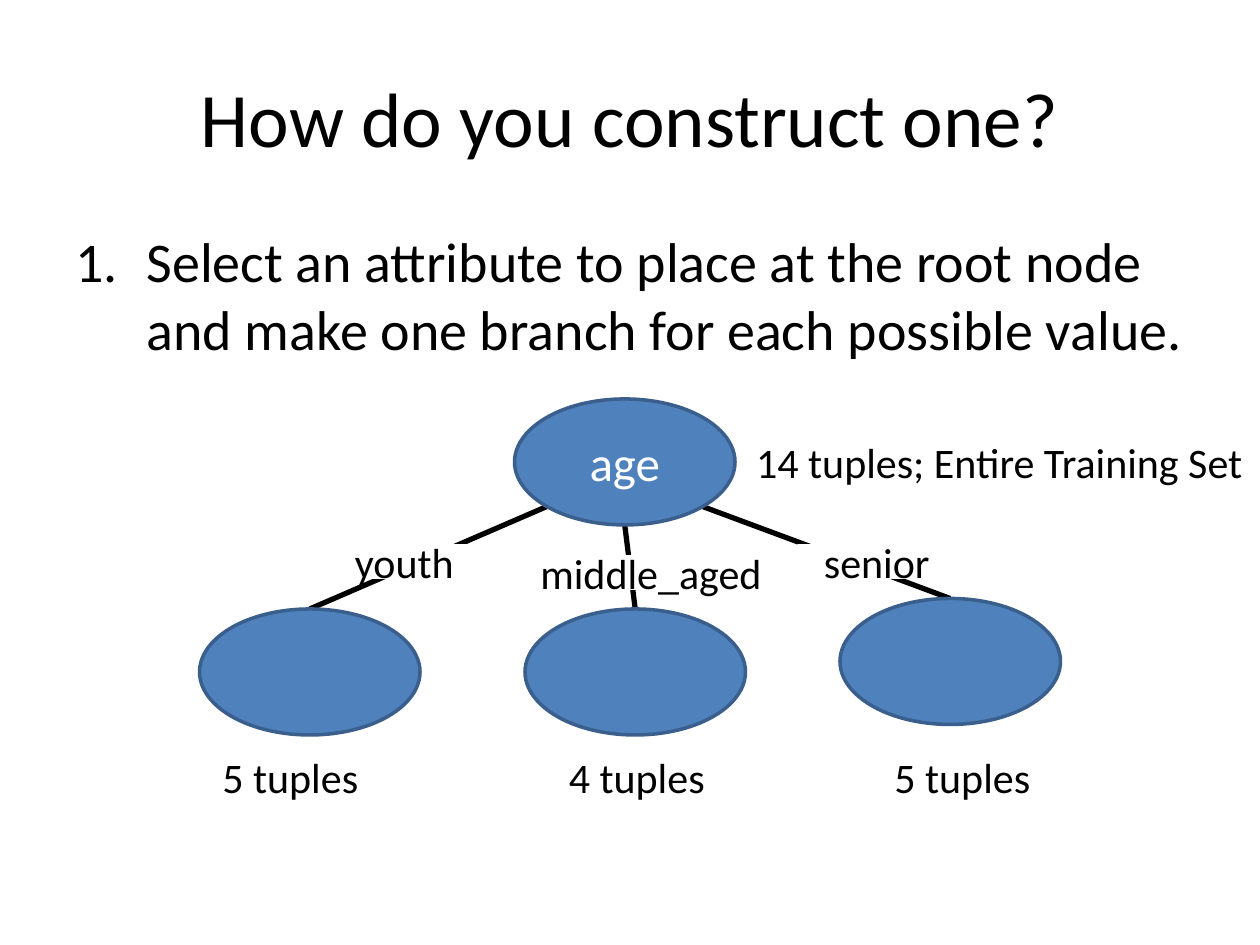
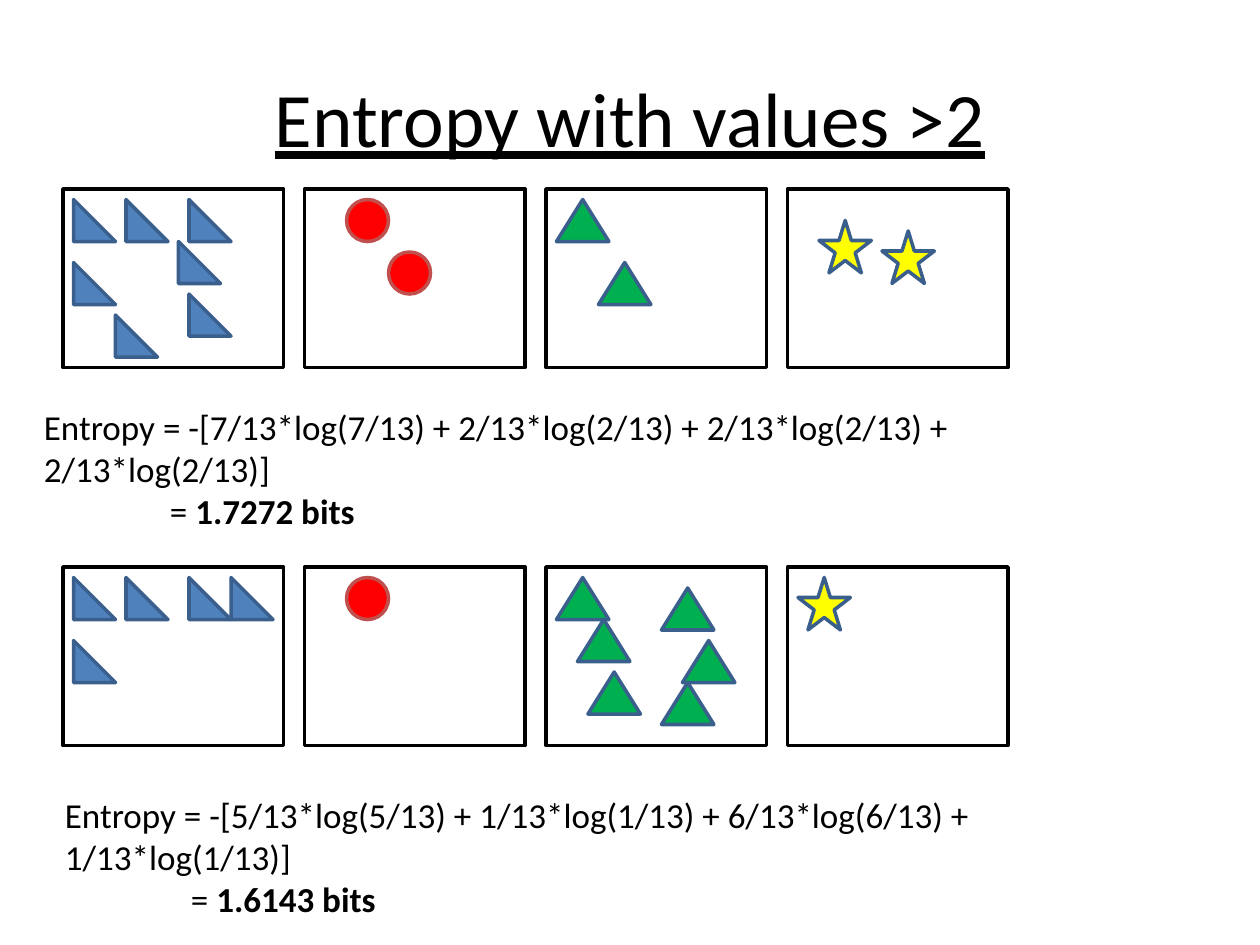
import math
from dataclasses import dataclass
import pptx
import pptx.util
import pptx.dml.color
import pptx.enum.shapes
import pptx.enum.text
import pptx.oxml
import pptx.oxml.ns
from pptx.util import Pt

KINDS = pptx.enum.shapes.MSO_SHAPE
ALIGN = pptx.enum.text.PP_ALIGN
ANCHOR = pptx.enum.text.MSO_ANCHOR


@dataclass(frozen=True)
class Theme:
    font: str = "Calibri"
    ink: str = "000000"
    paper: str = "FFFFFF"
    blue: str = "4F81BD"
    blue_edge: str = "3A5F8C"
    red: str = "FF0000"
    red_edge: str = "C0504D"
    green: str = "00B050"
    yellow: str = "FFFF00"
    title: int = 44
    body: int = 32
    node: int = 28
    label: int = 24
    formula: int = 20
    outline: int = 2
    branch: int = 3


THEME = Theme()
SLIDE_SIZE = (720, 540)
TITLE_BOX = (36, 21.6, 648, 90)

TREE_TITLE = "How do you construct one?"
STEPS = ["Select an attribute to place at the root node and make one branch for each possible value."]
STEPS_BOX = (36, 126, 648, 384)
STEP_INDENT = 40.5
NODE_SIZE = (126, 72)
ROOT = ("age", (294, 228))
ROOT_NOTE = ("14 tuples; Entire Training Set", (425, 246, 295, 36))
COUNT_TOP, COUNT_SIZE = 426, (93, 36)
BRANCHES = [
    dict(value="youth", label=(186, 312, 90, 18), node=(114, 348), angle=135, count="5 tuples", count_left=120),
    dict(value="middle_aged", label=(300, 318, 144, 18), node=(300, 348), angle=90, count="4 tuples", count_left=318),
    dict(value="senior", label=(456, 312, 90, 18), node=(480, 342), angle=45, count="5 tuples", count_left=504),
]

ENTROPY_TITLE = "Entropy with values >2"
BIN_LEFT, BIN_PITCH, BIN_SIZE = 36, 138, (126, 102)
TOKENS = [
    (KINDS.RIGHT_TRIANGLE, (24, 24), THEME.blue, THEME.blue_edge),
    (KINDS.OVAL, (24, 24), THEME.red, THEME.red_edge),
    (KINDS.ISOSCELES_TRIANGLE, (30, 24), THEME.green, THEME.blue_edge),
    (KINDS.STAR_5_POINT, (30, 30), THEME.yellow, THEME.blue_edge),
]
SAMPLES = [
    dict(
        top=108,
        bins=[
            [(6, 6), (36, 6), (6, 42), (66, 30), (72, 60), (30, 72), (72, 6)],
            [(24, 6), (48, 36)],
            [(6, 6), (30, 42)],
            [(54, 24), (18, 18)],
        ],
        formula="Entropy = -[7/13*log(7/13) + 2/13*log(2/13) + 2/13*log(2/13) + 2/13*log(2/13)]",
        bits="1.7272 bits",
        formula_at=(18, 228),
    ),
    dict(
        top=324,
        bins=[
            [(6, 6), (36, 6), (6, 42), (96, 6), (72, 6)],
            [(24, 6)],
            [(6, 6), (66, 12), (18, 30), (24, 60), (78, 42), (66, 66)],
            [(6, 6)],
        ],
        formula="Entropy = -[5/13*log(5/13) + 1/13*log(1/13) + 6/13*log(6/13) + 1/13*log(1/13)]",
        bits="1.6143 bits",
        formula_at=(30, 450),
    ),
]
FORMULA_SIZE = (660, 80)
RESULT_INDENT = 72


def rgb(code):
    return pptx.dml.color.RGBColor.from_string(code)


def points(values):
    return [Pt(value) for value in values]


def style(frame, size, color=THEME.ink, align=ALIGN.LEFT):
    for paragraph in frame.paragraphs:
        paragraph.alignment = align
        for run in paragraph.runs:
            run.font.name = THEME.font
            run.font.size = Pt(size)
            run.font.color.rgb = rgb(color)


def fill_placeholder(holder, box, text, size, align):
    holder.left, holder.top, holder.width, holder.height = points(box)
    holder.text_frame.text = text
    style(holder.text_frame, size, align=align)
    return holder.text_frame


def add_titled_slide(deck, layout, title):
    slide = deck.slides.add_slide(deck.slide_layouts[layout])
    frame = fill_placeholder(slide.shapes.title, TITLE_BOX, title, THEME.title, ALIGN.CENTER)
    frame.vertical_anchor = ANCHOR.MIDDLE
    return slide


def add_figure(slide, kind, box, fill, edge, text="", size=THEME.label, color=THEME.ink):
    figure = slide.shapes.add_shape(kind, *points(box))
    figure.shadow.inherit = False
    if fill:
        figure.fill.solid()
        figure.fill.fore_color.rgb = rgb(fill)
    else:
        figure.fill.background()
    figure.line.color.rgb = rgb(edge)
    figure.line.width = Pt(THEME.outline)
    if text:
        figure.text_frame.text = text
        figure.text_frame.vertical_anchor = ANCHOR.MIDDLE
        style(figure.text_frame, size, color, ALIGN.CENTER)


def add_note(slide, box, text, size=THEME.label, wrap=False):
    frame = slide.shapes.add_textbox(*points(box)).text_frame
    frame.word_wrap = wrap
    frame.text = text
    style(frame, size)
    return frame


def indent(paragraph, margin, first=0):
    properties = paragraph._p.get_or_add_pPr()
    properties.set("marL", str(Pt(margin)))
    properties.set("indent", str(Pt(first)))
    return properties


def add_branch_line(slide, start, end):
    branch = slide.shapes.add_connector(
        pptx.enum.shapes.MSO_CONNECTOR.STRAIGHT, *points(start + end))
    branch.line.color.rgb = rgb(THEME.ink)
    branch.line.width = Pt(THEME.branch)
    branch._element.spPr.append(pptx.oxml.parse_xml(
        "<a:effectLst %s/>" % pptx.oxml.ns.nsdecls("a")))


def build_tree(deck):
    slide = add_titled_slide(deck, 1, TREE_TITLE)
    steps = fill_placeholder(
        slide.placeholders[1], STEPS_BOX, "\n".join(STEPS), THEME.body, ALIGN.LEFT)
    for step in steps.paragraphs:
        properties = indent(step, STEP_INDENT, -STEP_INDENT)
        properties.append(pptx.oxml.parse_xml(
            '<a:buAutoNum %s type="arabicPeriod"/>' % pptx.oxml.ns.nsdecls("a")))
    note, note_box = ROOT_NOTE
    add_note(slide, note_box, note)

    width, height = NODE_SIZE
    attribute, (root_left, root_top) = ROOT
    for branch in BRANCHES:
        angle = math.radians(branch["angle"])
        start = (root_left + width / 2 * (1 + math.cos(angle)),
                 root_top + height / 2 * (1 + math.sin(angle)))
        left, top = branch["node"]
        add_branch_line(slide, start, (left + width / 2, top))
    add_figure(slide, KINDS.OVAL, (root_left, root_top) + NODE_SIZE, THEME.blue,
               THEME.blue_edge, attribute, THEME.node, THEME.paper)
    for branch in BRANCHES:
        add_figure(slide, KINDS.OVAL, branch["node"] + NODE_SIZE, THEME.blue, THEME.blue_edge)
        add_figure(slide, KINDS.RECTANGLE, branch["label"], THEME.paper, THEME.paper,
                   branch["value"])
        add_note(slide, (branch["count_left"], COUNT_TOP) + COUNT_SIZE, branch["count"])


def build_entropy(deck):
    slide = add_titled_slide(deck, 5, ENTROPY_TITLE)
    slide.shapes.title.text_frame.paragraphs[0].runs[0].font.underline = True
    for sample in SAMPLES:
        top = sample["top"]
        for column, (spots, token) in enumerate(zip(sample["bins"], TOKENS)):
            left = BIN_LEFT + column * BIN_PITCH
            kind, size, fill, edge = token
            add_figure(slide, KINDS.RECTANGLE, (left, top) + BIN_SIZE, None, THEME.ink)
            for across, down in spots:
                add_figure(slide, kind, (left + across, top + down) + size, fill, edge)
        frame = add_note(slide, sample["formula_at"] + FORMULA_SIZE, sample["formula"],
                         THEME.formula, True)
        result = frame.add_paragraph()
        result.text = "= "
        result.add_run().text = sample["bits"]
        result.runs[1].font.bold = True
        indent(result, RESULT_INDENT)
        style(frame, THEME.formula)


def main():
    deck = pptx.Presentation()
    deck.slide_width, deck.slide_height = points(SLIDE_SIZE)
    build_tree(deck)
    build_entropy(deck)
    deck.save("out.pptx")


if __name__ == "__main__":
    main()
